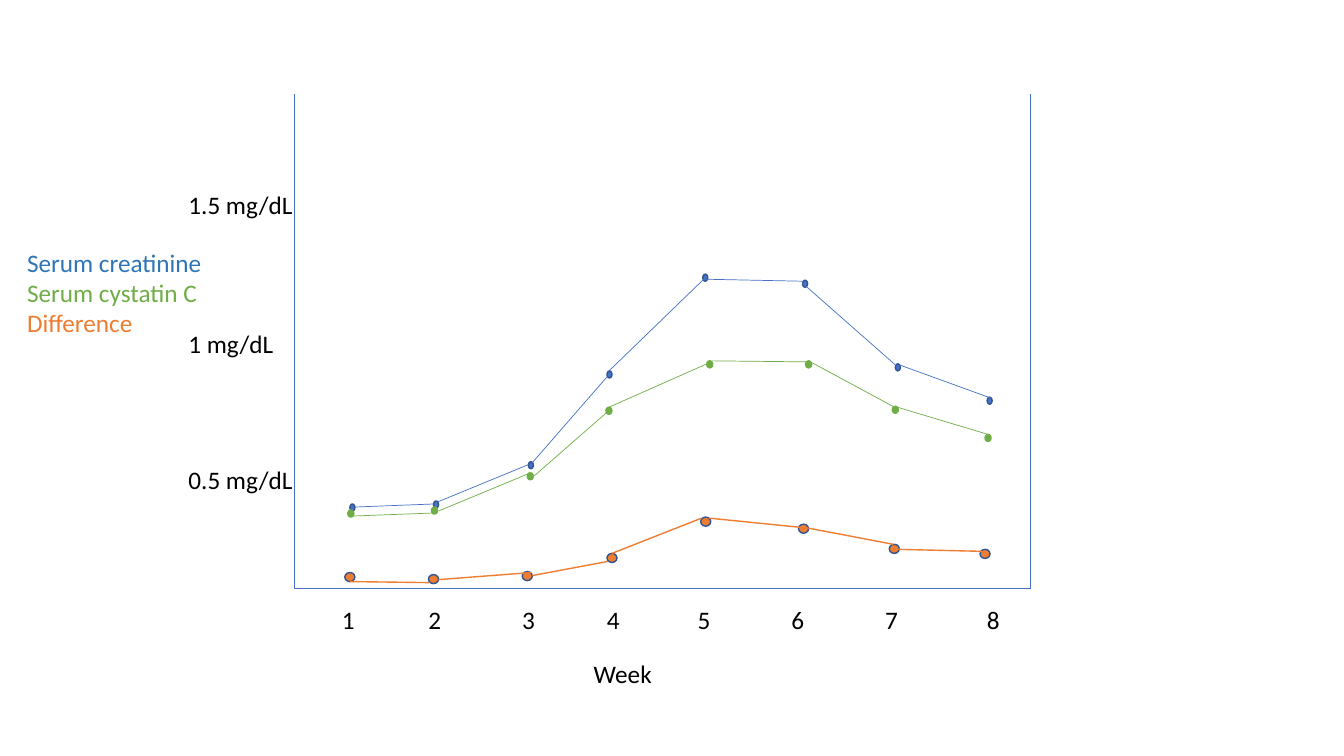
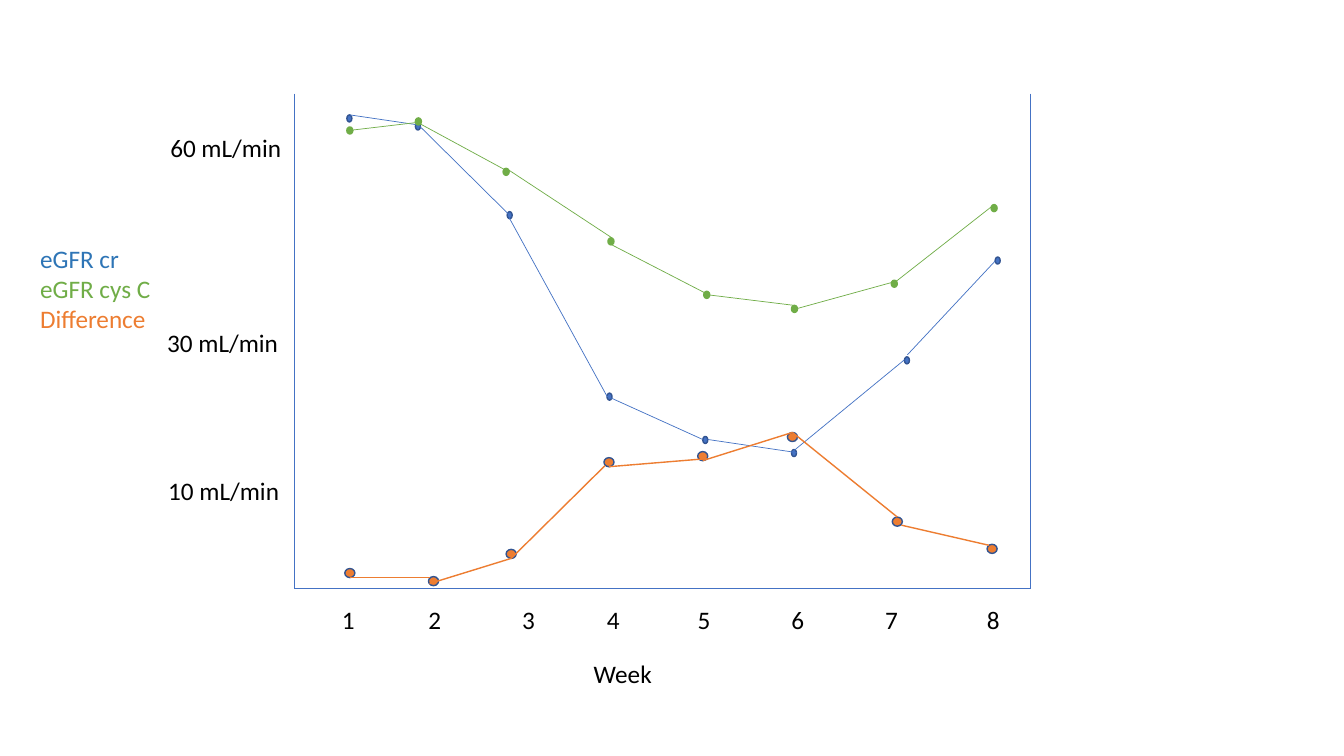
"""Two slides with hand-plotted weekly curves of kidney markers."""
from collections import namedtuple
from dataclasses import dataclass

from lxml import etree
from pptx import Presentation
from pptx import util as u
from pptx.dml.color import RGBColor
from pptx.enum import shapes, text
from pptx.oxml import ns

Box = namedtuple("Box", "x y w h")
Style = namedtuple("Style", "legend fill outline dot_w dot_h line_pt")
Series = namedtuple("Series", "style dots segments")


@dataclass(frozen=True)
class Theme:
    """Colours, font and sizes used on every slide."""
    font: str = "Calibri"
    size: int = 18
    ink: str = "000000"
    axis: str = "4472C4"
    axis_pt: float = 1
    text_h: float = 0.4
    # legend colour, dot fill, dot outline, dot width and height, line width
    blue: Style = Style("2E75B6", "4472C4", "325491", 0.05, 0.07, 0.5)
    green: Style = Style("70AD47", "70AD47", "70AD47", 0.06, 0.07, 0.5)
    orange: Style = Style("ED7D31", "ED7D31", "325491", 0.1, 0.09, 1)


T = Theme()
PAGE = Box(0, 0, 13.33, 7.5)
FRAME = Box(2.92, 0.93, 7.3, 4.91)
WEEK_LEFTS = [3.39, 4.15, 5.08, 5.92, 6.82, 7.75, 8.68, 9.69]


def add_text(s, box, lines, colors=(T.ink,), size=T.size, wrap=False):
    """Add a text box with one paragraph for each line and colour."""
    sp = s.shapes.add_textbox(*map(u.Inches, box))
    tf = sp.text_frame
    tf.word_wrap = wrap
    tf.auto_size = text.MSO_AUTO_SIZE.SHAPE_TO_FIT_TEXT
    for i, (line, color) in enumerate(zip(lines, colors)):
        p = tf.add_paragraph() if i else tf.paragraphs[0]
        r = p.add_run()
        r.text = line
        r.font.name = T.font
        r.font.size = u.Pt(size)
        r.font.color.rgb = RGBColor.from_string(color)


def add_line(s, x1, y1, x2, y2, color, width):
    """Add a straight line without a shadow."""
    ln = s.shapes.add_connector(shapes.MSO_CONNECTOR.STRAIGHT,
                                *map(u.Inches, (x1, y1, x2, y2)))
    ln.line.color.rgb = RGBColor.from_string(color)
    ln.line.width = u.Pt(width)
    etree.SubElement(ln._element.spPr, ns.qn("a:effectLst"))


def add_dot(s, x, y, style):
    """Add one data point with its top left corner at x, y."""
    sp = s.shapes.add_shape(shapes.MSO_SHAPE.OVAL,
                            *map(u.Inches, (x, y, style.dot_w, style.dot_h)))
    sp.shadow.inherit = False
    sp.fill.solid()
    sp.fill.fore_color.rgb = RGBColor.from_string(style.fill)
    sp.line.color.rgb = RGBColor.from_string(style.outline)
    sp.line.width = u.Pt(1)


def draw_frame(s, box):
    """Draw the left, right and bottom edges of the plot."""
    right, bottom = box.x + box.w, box.y + box.h
    for ends in ((box.x, box.y, box.x, bottom),
                 (right, box.y, right, bottom),
                 (box.x, bottom, right, bottom)):
        add_line(s, *ends, T.axis, T.axis_pt)


def draw_weeks(s, box):
    """Number the weeks below the plot and name the axis."""
    bottom = box.y + box.h
    for week, left in enumerate(WEEK_LEFTS, 1):
        width = 0.05 if week == 1 else 0.2
        add_text(s, Box(box.x + left - FRAME.x, bottom + 0.11, width, T.text_h),
                 [str(week)], wrap=True)
    add_text(s, Box(box.x + 2.87, bottom + 0.64, 0.78, T.text_h), ["Week"])


def draw_series(s, box, series):
    """Draw the dots and segments of a curve, measured from the box corner."""
    for x, y in series.dots:
        add_dot(s, box.x + x, box.y + y, series.style)
    for x1, y1, x2, y2 in series.segments:
        add_line(s, box.x + x1, box.y + y1, box.x + x2, box.y + y2,
                 series.style.fill, series.style.line_pt)


def curve_slide(prs, box, legend_box, names, levels, curves):
    """Build a slide of curves with a legend and labelled levels."""
    s = prs.slides.add_slide(prs.slide_layouts[6])
    frame = FRAME._replace(x=box.x + FRAME.x, y=box.y + FRAME.y)
    draw_frame(s, frame)
    draw_weeks(s, frame)
    for series in curves:
        draw_series(s, box, series)
    add_text(s, legend_box, names, [c.style.legend for c in curves])
    for label, x, y, w in levels:
        add_text(s, Box(box.x + x, box.y + y, w, T.text_h), [label])


CREATININE = Series(
    T.blue,
    [(3.47, 5), (4.3, 4.97), (5.24, 4.58), (6.02, 3.68),
     (6.97, 2.72), (7.96, 2.78), (8.88, 3.61), (9.79, 3.94)],
    [(3.52, 5.03, 4.3, 5), (4.34, 4.98, 5.24, 4.61),
     (5.28, 4.59, 6.02, 3.74), (6.04, 3.68, 6.98, 2.77),
     (6.98, 2.77, 7.96, 2.79), (7.96, 2.81, 8.88, 3.62),
     (8.92, 3.62, 9.83, 3.95)])
CYSTATIN = Series(
    T.green,
    [(3.45, 5.06), (4.28, 5.03), (5.23, 4.69), (6.01, 4.04),
     (7.01, 3.58), (7.99, 3.58), (8.85, 4.03), (9.77, 4.31)],
    [(3.49, 5.12, 4.29, 5.09), (4.35, 5.07, 5.24, 4.7),
     (5.3, 4.72, 6.02, 4.09), (6.04, 4.04, 7.01, 3.61),
     (7.06, 3.58, 8, 3.59), (8.02, 3.58, 8.91, 4.06),
     (8.9, 4.04, 9.8, 4.31)])
SERUM_DIFFERENCE = Series(
    T.orange,
    [(3.42, 5.68), (4.25, 5.7), (5.18, 5.67), (6.02, 5.49),
     (6.95, 5.13), (7.92, 5.2), (8.82, 5.4), (9.72, 5.45)],
    [(3.47, 5.77, 4.26, 5.78), (4.35, 5.75, 5.27, 5.68),
     (5.28, 5.71, 6.03, 5.57), (6.07, 5.49, 6.96, 5.14),
     (7.03, 5.14, 8.02, 5.24), (8.02, 5.24, 8.86, 5.4),
     (8.91, 5.45, 9.74, 5.47)])
EGFR_CR = Series(
    T.blue,
    [(3.44, 1.14), (4.12, 1.22), (5.03, 2.1), (6.02, 3.9),
     (6.97, 4.33), (7.85, 4.46), (8.97, 3.54), (9.87, 2.55)],
    [(3.47, 1.14, 4.15, 1.24), (4.15, 1.24, 5.07, 2.15),
     (5.05, 2.16, 6.02, 3.93), (6.02, 3.93, 6.97, 4.36),
     (7.02, 4.36, 7.9, 4.49), (7.85, 4.49, 8.97, 3.57),
     (9, 3.52, 9.87, 2.59)])
EGFR_CYS = Series(
    T.green,
    [(3.44, 1.26), (4.12, 1.17), (4.99, 1.67), (6.03, 2.36),
     (6.98, 2.89), (7.85, 3.03), (8.84, 2.78), (9.83, 2.03)],
    [(3.5, 1.29, 4.18, 1.21), (4.17, 1.23, 5, 1.68),
     (5.02, 1.67, 6.07, 2.36), (6.07, 2.43, 7, 2.91),
     (6.98, 2.92, 7.88, 3.03), (7.91, 3.06, 8.89, 2.79),
     (8.89, 2.79, 9.86, 2.03)])
EGFR_DIFFERENCE = Series(
    T.orange,
    [(3.42, 5.64), (4.25, 5.72), (5.02, 5.45), (5.99, 4.54),
     (6.92, 4.48), (7.81, 4.29), (8.85, 5.13), (9.79, 5.4)],
    [(3.47, 5.73, 4.26, 5.73), (4.26, 5.79, 5.07, 5.54),
     (5.07, 5.54, 6, 4.62), (6.04, 4.63, 7.01, 4.55),
     (6.97, 4.57, 7.86, 4.29), (7.86, 4.29, 8.9, 5.13),
     (8.94, 5.21, 9.81, 5.41)])

prs = Presentation()
prs.slide_width, prs.slide_height = u.Inches(PAGE.w), u.Inches(PAGE.h)
curve_slide(prs, PAGE, Box(0.17, 2.4, 1.95, 1.01),
            ["Serum creatinine", "Serum cystatin C", "Difference"],
            [("1.5 mg/dL", 1.77, 1.83, 1.25), ("1 mg/dL", 1.77, 3.21, 1.06),
             ("0.5 mg/dL", 1.77, 4.56, 1.25)],
            [CREATININE, CYSTATIN, SERUM_DIFFERENCE])
curve_slide(prs, PAGE, Box(0.3, 2.36, 1.31, 1.01),
            ["eGFR cr", "eGFR cys C", "Difference"],
            [("60 mL/min", 1.59, 1.26, 1.32), ("30 mL/min", 1.56, 3.2, 1.32),
             ("10 mL/min", 1.57, 4.67, 1.32)],
            [EGFR_CR, EGFR_CYS, EGFR_DIFFERENCE])
prs.save("out.pptx")
